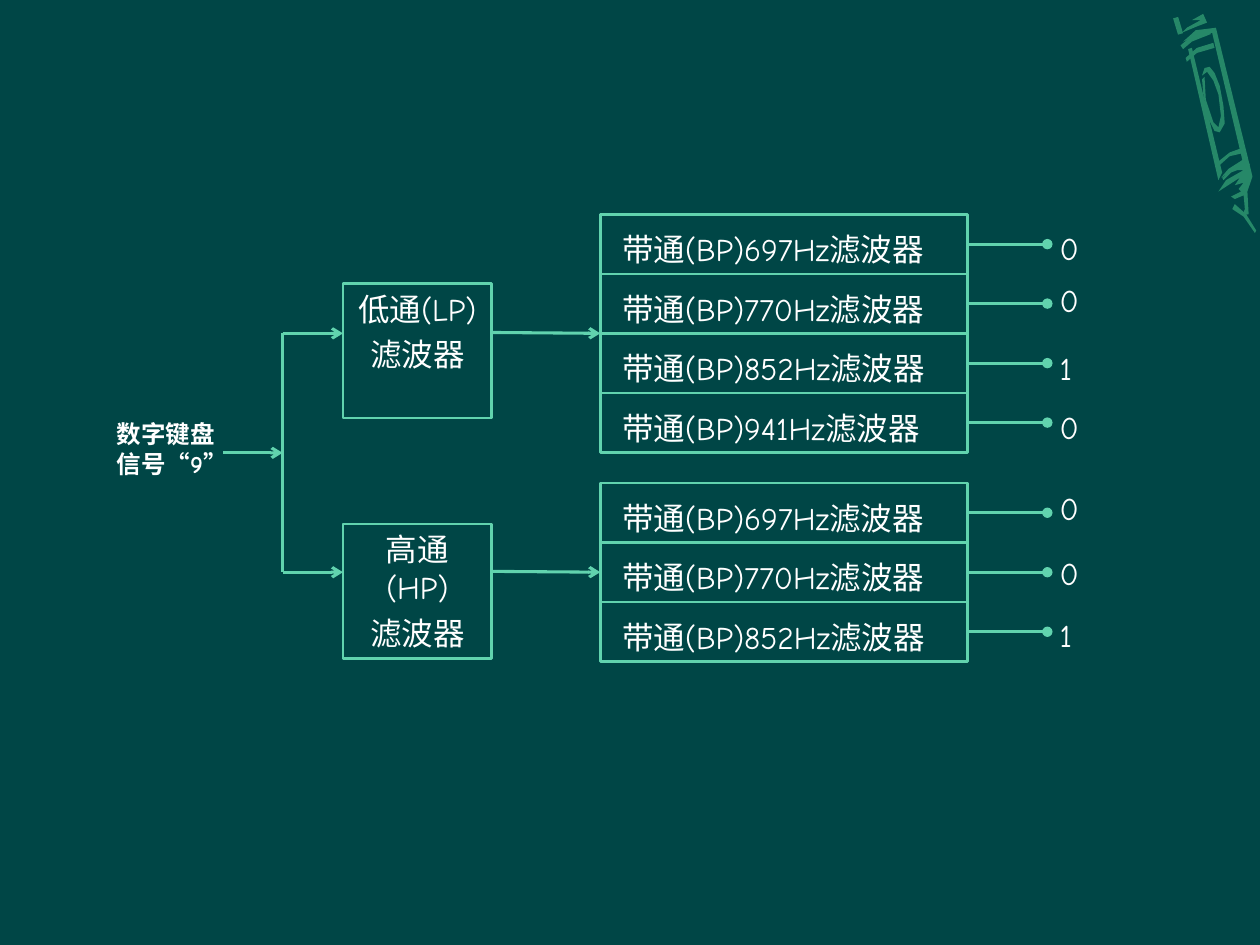
from pptx import Presentation
from pptx.dml.color import RGBColor
from pptx.enum.shapes import MSO_CONNECTOR, MSO_SHAPE
from pptx.enum.text import MSO_ANCHOR, PP_ALIGN
from pptx.oxml.ns import qn
from pptx.util import Pt
from lxml.etree import SubElement

COLORS = {"board": "004646", "chalk": "61D3AE", "pencil": "268868", "text": "FFFFFF"}
FONT = "Comic Neue"

# Filter banks: rows share one pitch; each row has a filter, an output and its label top
BANK_LEFT, BANK_WIDTH, ROW_HEIGHT = 343, 210, 34
OUTPUT_END = 598.5
BUS_X, STAGE_LEFT, STAGE_WIDTH, STAGE_HEIGHT = 161.5, 196, 85, 77
BRANCHES = [
    ("低通(LP)", 162, 122.5,
     [("697", "0", 127.5), ("770", "0", 157), ("852", "1", 196), ("941", "0", 229.5)]),
    ("高通(HP)", 299.5, 276,
     [("697", "0", 276), ("770", "0", 313), ("852", "1", 348.5)]),
]

# Pencil outlines, in hundredths of an inch
PENCIL_UNIT = Pt(0.72)
PENCIL = [
    [(978, 166), (987, 172), (996, 185), (997, 183), (989, 170), (980, 162)],
    [(938, 26), (950, 21), (958, 18), (955, 11), (946, 16), (953, 16), (942, 22)],
    [(954, 63), (955, 75), (958, 92), (964, 104), (968, 105), (972, 98), (971, 84),
     (968, 68), (964, 58), (960, 53), (956, 54), (954, 60), (958, 57), (963, 64),
     (967, 75), (969, 92), (967, 101), (963, 97), (957, 79), (956, 61)],
    [(943, 39), (967, 143), (970, 137), (946, 38)],
    [(967, 152), (973, 143), (987, 135), (979, 135), (969, 141), (975, 134), (986, 127),
     (962, 26), (949, 29), (939, 33), (949, 24), (965, 22), (994, 140), (990, 152),
     (991, 170), (986, 171), (988, 166), (987, 155), (980, 158), (977, 156), (985, 152),
     (983, 150), (987, 145), (980, 147), (984, 141)],
    [(971, 143), (977, 137), (992, 131), (991, 129), (982, 131), (970, 141)],
    [(967, 132), (976, 124), (989, 121), (987, 117), (976, 121), (966, 129)],
    [(942, 49), (950, 42), (964, 38), (963, 34), (950, 38), (941, 46)],
    [(939, 39), (946, 33), (961, 27), (960, 24), (944, 30), (937, 36)],
]


def color(name):
    return RGBColor.from_string(COLORS[name])


def write(shape, lines, size=18, bold=False, align=PP_ALIGN.LEFT):
    frame = shape.text_frame
    frame.word_wrap = True
    frame.vertical_anchor = MSO_ANCHOR.TOP
    for index, line in enumerate(lines):
        para = frame.add_paragraph() if index else frame.paragraphs[0]
        para.text = line
        para.alignment = align
        if index:
            para.space_before = Pt(4.5)
        font = para.font
        font.name, font.size, font.bold = FONT, Pt(size), bold
        font.color.rgb = color("text")


def add_label(page, text, left, top, width, height=28.8, **style):
    box = page.shapes.add_textbox(Pt(left), Pt(top), Pt(width), Pt(height))
    write(box, [text], **style)


def add_frame(page, left, top, width, height):
    box = page.shapes.add_shape(MSO_SHAPE.RECTANGLE, Pt(left), Pt(top), Pt(width), Pt(height))
    box.shadow.inherit = False
    box.fill.background()
    box.line.color.rgb = color("chalk")
    box.line.width = Pt(1.5)
    return box


def add_line(page, start, end, width=1.75, tip=None, ink="chalk"):
    line = page.shapes.add_connector(
        MSO_CONNECTOR.STRAIGHT, *(Pt(value) for value in (*start, *end)))
    line.line.color.rgb = color(ink)
    line.line.width = Pt(width)
    if tip:
        SubElement(line.line._get_or_add_ln(), qn("a:tailEnd"), type=tip)
    SubElement(line._element.spPr, qn("a:effectLst"))
    return line


def add_pencil(page):
    for start, *points in PENCIL:
        builder = page.shapes.build_freeform(*start, scale=PENCIL_UNIT)
        builder.add_line_segments(points, close=True)
        stroke = builder.convert_to_shape()
        stroke.shadow.inherit = False
        stroke.fill.solid()
        stroke.fill.fore_color.rgb = color("pencil")
        stroke.line.fill.background()
    add_line(page, (671.8, 10.1), (674.6, 19.4), 3, ink="pencil")


def add_bank(page, top, rows):
    bank = add_frame(page, BANK_LEFT, top, BANK_WIDTH, ROW_HEIGHT * len(rows))
    right = BANK_LEFT + BANK_WIDTH
    for index, (frequency, output, output_top) in enumerate(rows):
        row_top = top + index * ROW_HEIGHT
        middle = row_top + ROW_HEIGHT / 2
        if index:
            add_line(page, (BANK_LEFT, row_top), (right, row_top), 1.5)
        add_label(page, f"带通(BP){frequency}Hz滤波器", 348.5, row_top + 5.5, 204.5)
        add_line(page, (right, middle), (OUTPUT_END, middle), tip="oval")
        add_label(page, output, OUTPUT_END, output_top, 45)
    return bank


def add_branch(page, name, stage_top, bank_top, rows):
    """Draw one path from the bus to its bank; return the height of the path."""
    stage = add_frame(page, STAGE_LEFT, stage_top, STAGE_WIDTH, STAGE_HEIGHT)
    write(stage, [name, "滤波器"], align=PP_ALIGN.CENTER)
    bank = add_bank(page, bank_top, rows)
    middle = bank_top + ROW_HEIGHT * len(rows) / 2
    add_line(page, (BUS_X, middle), (STAGE_LEFT, middle), tip="arrow")
    feed = add_line(page, (STAGE_LEFT + STAGE_WIDTH, middle - 0.5), (BANK_LEFT, middle),
                    tip="arrow")
    feed.end_connect(bank, 1)
    return middle


def main():
    deck = Presentation()
    deck.slide_width, deck.slide_height = Pt(720), Pt(540)
    page = deck.slides.add_slide(deck.slide_layouts[6])
    page.background.fill.solid()
    page.background.fill.fore_color.rgb = color("board")
    add_pencil(page)

    # Both filter paths and the bus that joins them
    upper, lower = [add_branch(page, *branch) for branch in BRANCHES]
    add_line(page, (BUS_X, upper), (BUS_X, lower))

    # Input signal
    inlet = (upper + lower) / 2
    add_line(page, (127.5, inlet), (BUS_X, inlet), tip="arrow")
    add_label(page, "数字键盘信号“9”", 59.5, 236, 79, 57.5, size=14, bold=True)

    deck.save("out.pptx")


if __name__ == "__main__":
    main()
